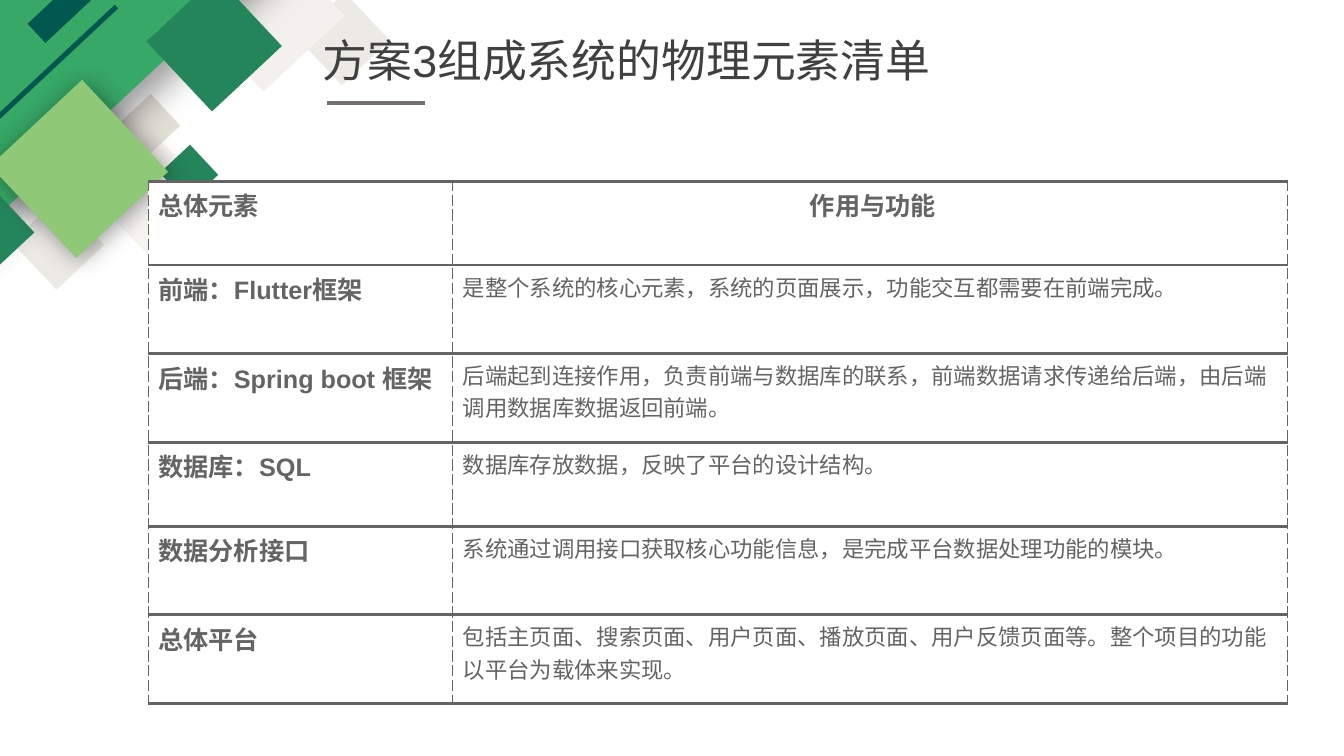
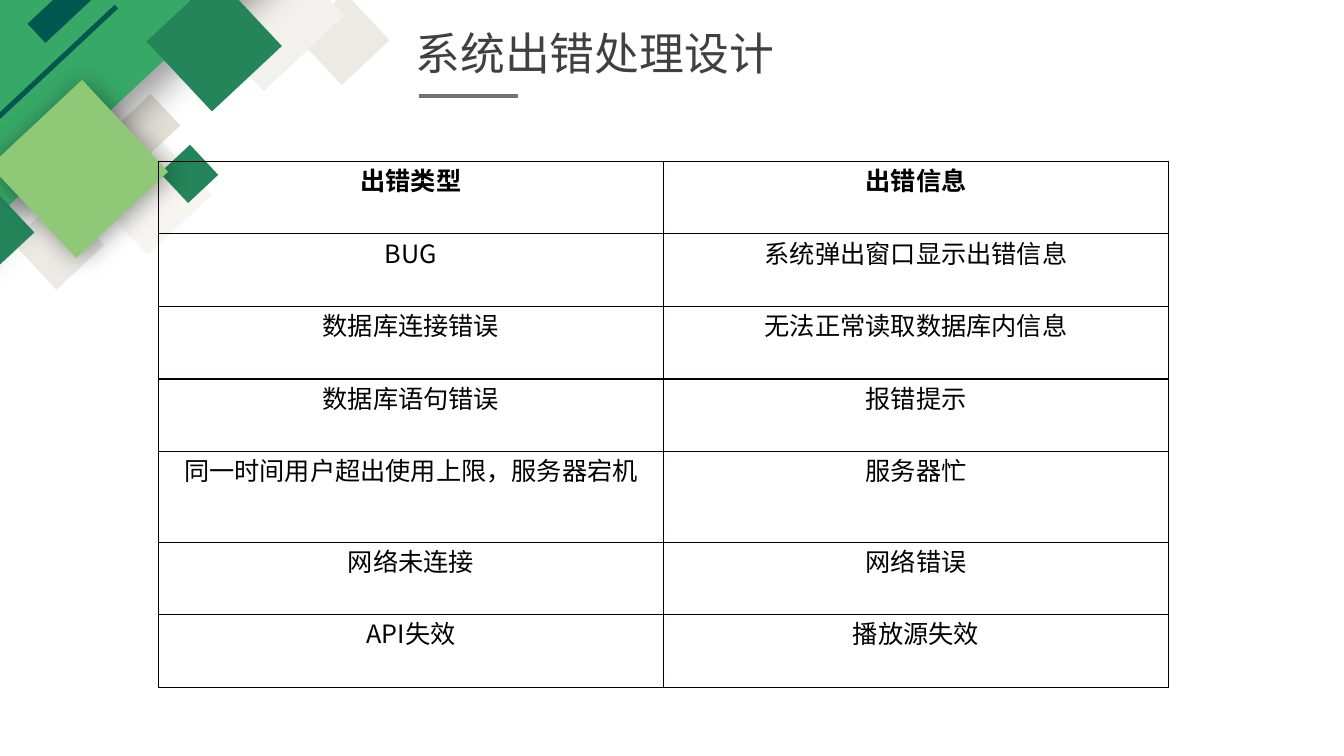
"""Build two slides of a system design deck: physical elements and error handling."""

from dataclasses import dataclass
from typing import NamedTuple

from lxml import etree
from pptx import Presentation
from pptx.dml.color import RGBColor
from pptx.enum.shapes import MSO_CONNECTOR, MSO_SHAPE
from pptx.enum.text import MSO_ANCHOR, MSO_AUTO_SIZE, PP_ALIGN
from pptx.oxml.ns import qn
from pptx.util import Emu, Pt

RECTANGLE = MSO_SHAPE.RECTANGLE
STRAIGHT = MSO_CONNECTOR.STRAIGHT
TOP = MSO_ANCHOR.TOP
LEFT, CENTER = PP_ALIGN.LEFT, PP_ALIGN.CENTER
NO_AUTOFIT = MSO_AUTO_SIZE.NONE

EMU_PER_PX = 9144
EMU_PER_PT = 12700
PAGE_WIDTH, PAGE_HEIGHT = 1333, 750
TITLE_ONLY = 5
TILT = 316.9
RULE_WIDTH = 98
RULE_INDENT = 14
RULE_DROP = 75


@dataclass(frozen=True)
class Theme:
    latin: str = "Arial"
    asian: str = "Noto Sans CJK SC"
    title_size: int = 32
    cell_size: int = 18
    detail_size: int = 16
    title: str = "404040"
    rule: str = "767171"
    slate: str = "646464"
    black: str = "000000"
    grid: str = "080000"
    white: str = "FFFFFF"
    sand: str = "E7E4DD"
    pale: str = "F2F1ED"
    stone: str = "D8D4C9"
    green: str = "37A866"
    forest: str = "24855A"
    lime: str = "8FC877"
    teal: str = "00574F"
    deep_teal: str = "00554E"


THEME = Theme()


class Shadow(NamedTuple):
    blur: int
    distance: int
    direction: int
    opacity: int = 40


class Tile(NamedTuple):
    left: int
    top: int
    width: int
    height: int
    color: str
    opacity: int = 100
    shadow: Shadow | None = None


class Border(NamedTuple):
    color: str
    width: float
    dash: str = "solid"


@dataclass(frozen=True)
class TableStyle:
    font: str
    color: str
    vertical: Border
    horizontal: Border
    fill: str | None = None
    margins: tuple[int, int] = (10, 5)
    lead_align: PP_ALIGN = CENTER
    detail_align: PP_ALIGN = CENTER
    lead_bold: bool = False
    detail_size: int = THEME.cell_size


@dataclass(frozen=True)
class TablePage:
    title: str
    title_box: tuple[int, int, int, int]
    table_corner: tuple[int, int]
    columns: tuple[int, ...]
    row_heights: tuple[int, ...]
    rows: tuple[tuple[str, str], ...]
    style: TableStyle


TILES = (
    Tile(308, 6, 65, 65, THEME.sand, 76),
    Tile(209, -42, 110, 110, THEME.pale),
    Tile(25, 209, 65, 65, THEME.sand, 76),
    Tile(105, 148, 87, 87, THEME.pale, 67),
    Tile(127, 102, 43, 43, THEME.stone, 73),
    Tile(-203, -136, 527, 246, THEME.green, shadow=Shadow(27, 16, 90)),
    Tile(-163, 114, 322, 5, THEME.teal),
    Tile(167, 152, 41, 41, THEME.forest),
    Tile(185, -49, 44, 44, THEME.deep_teal),
    Tile(165, -4, 95, 95, THEME.forest),
    Tile(-48, 195, 68, 68, THEME.forest),
    Tile(16, 105, 125, 125, THEME.lime, shadow=Shadow(18, 3, 45)),
    Tile(-8, -92, 328, 26, THEME.teal),
)

THIN_GRID = Border(THEME.grid, 1)

PAGES = (
    TablePage(
        title="方案3组成系统的物理元素清单",
        title_box=(310, 27, 791, 118),
        table_corner=(147, 180),
        columns=(302, 828),
        row_heights=(83, 88, 88, 83, 88, 88),
        rows=(
            ("总体元素", " 作用与功能"),
            ("前端：Flutter框架", "是整个系统的核心元素，系统的页面展示，功能交互都需要在前端完成。"),
            (
                "后端：Spring boot 框架",
                "后端起到连接作用，负责前端与数据库的联系，前端数据请求传递给后端，由后端调用数据库数据返回前端。",
            ),
            ("数据库：SQL", "数据库存放数据，反映了平台的设计结构。"),
            ("数据分析接口", "系统通过调用接口获取核心功能信息，是完成平台数据处理功能的模块。"),
            (
                "总体平台",
                "包括主页面、搜索页面、用户页面、播放页面、用户反馈页面等。整个项目的功能以平台为载体来实现。",
            ),
        ),
        style=TableStyle(
            font=THEME.latin,
            color=THEME.slate,
            vertical=Border(THEME.slate, 0.75, "sysDash"),
            horizontal=Border(THEME.slate, 2.25),
            fill=THEME.white,
            lead_align=LEFT,
            detail_align=LEFT,
            lead_bold=True,
            detail_size=THEME.detail_size,
        ),
    ),
    TablePage(
        title="系统出错处理设计",
        title_box=(402, 20, 407, 64),
        table_corner=(157, 160),
        columns=(501, 501),
        row_heights=(72, 72, 72, 72, 90, 72, 72),
        rows=(
            ("出错类型", "出错信息"),
            ("BUG", "系统弹出窗口显示出错信息"),
            ("数据库连接错误", "无法正常读取数据库内信息"),
            ("数据库语句错误", "报错提示"),
            ("同一时间用户超出使用上限，服务器宕机", "服务器忙"),
            ("网络未连接", "网络错误"),
            ("API失效", "播放源失效"),
        ),
        style=TableStyle(
            font=THEME.asian,
            color=THEME.black,
            vertical=THIN_GRID,
            horizontal=THIN_GRID,
            margins=(7, 0),
        ),
    ),
)


def px(length: int) -> Emu:
    """Turn whole pixels into EMU."""
    return Emu(length * EMU_PER_PX)


def write_text(frame, text: str, *, size: int, color: str, font: str,
               bold: bool = False, align: PP_ALIGN = LEFT) -> None:
    """Fill a text frame with one formatted paragraph."""
    para = frame.paragraphs[0]
    para.alignment = align
    span = para.add_run()
    span.text = text
    span.font.size = Pt(size)
    span.font.bold = bold
    span.font.name = font
    span.font.color.rgb = RGBColor.from_string(color)
    asian = etree.SubElement(span.font._element, qn("a:ea"))
    asian.set("typeface", THEME.asian)


def add_alpha(color_element, opacity: int) -> None:
    """Set the opacity of a colour element in percent."""
    etree.SubElement(color_element, qn("a:alpha")).set("val", str(opacity * 1000))


def add_shadow(shape, shadow: Shadow) -> None:
    """Give a shape an outer shadow."""
    effects = shape.element.spPr.find(qn("a:effectLst"))
    outer = etree.SubElement(effects, qn("a:outerShdw"))
    outer.set("blurRad", str(shadow.blur * EMU_PER_PT))
    outer.set("dist", str(shadow.distance * EMU_PER_PT))
    outer.set("dir", str(shadow.direction * 60000))
    outer.set("algn", "ctr")
    outer.set("rotWithShape", "0")
    color = etree.SubElement(outer, qn("a:srgbClr"))
    color.set("val", THEME.black)
    add_alpha(color, shadow.opacity)


def draw_tile(page, tile: Tile):
    """Draw one tilted tile and return its shape."""
    box = page.shapes.add_shape(RECTANGLE, px(tile.left), px(tile.top), px(tile.width), px(tile.height))
    box.rotation = TILT
    box.fill.solid()
    box.fill.fore_color.rgb = RGBColor.from_string(tile.color)
    box.line.fill.background()
    box.shadow.inherit = False
    if tile.opacity < 100:
        add_alpha(box.element.spPr.find(".//" + qn("a:srgbClr")), tile.opacity)
    if tile.shadow:
        add_shadow(box, tile.shadow)
    return box


def decorate_layout(layout, page) -> None:
    """Put the corner tiles on the layout that all pages share."""
    for tile in TILES:
        layout.shapes.element.append(draw_tile(page, tile).element)


def draw_title(page, text: str, box: tuple[int, int, int, int]) -> None:
    """Place the title and the short rule under it."""
    title = page.shapes.title
    title.left, title.top, title.width, title.height = map(px, box)
    frame = title.text_frame
    frame.word_wrap = True
    frame.auto_size = NO_AUTOFIT
    frame.vertical_anchor = TOP
    write_text(frame, text, size=THEME.title_size, color=THEME.title, font=THEME.latin)
    left, level = box[0] + RULE_INDENT, box[1] + RULE_DROP
    rule = page.shapes.add_connector(STRAIGHT, px(left), px(level), px(left + RULE_WIDTH), px(level))
    rule.line.color.rgb = RGBColor.from_string(THEME.rule)
    rule.line.width = Pt(3)
    etree.SubElement(rule.element.spPr, qn("a:effectLst"))


def set_borders(cell, style: TableStyle) -> None:
    """Draw the four borders of a cell."""
    properties = cell._tc.get_or_add_tcPr()
    sides = (("L", style.vertical), ("R", style.vertical), ("T", style.horizontal), ("B", style.horizontal))
    for position, (side, border) in enumerate(sides):
        line = etree.Element(qn(f"a:ln{side}"), w=str(int(border.width * EMU_PER_PT)))
        fill = etree.SubElement(line, qn("a:solidFill"))
        etree.SubElement(fill, qn("a:srgbClr")).set("val", border.color)
        etree.SubElement(line, qn("a:prstDash")).set("val", border.dash)
        properties.insert(position, line)


def format_cell(cell, style: TableStyle) -> None:
    """Set the margins, fill and borders of a cell."""
    side, edge = map(px, style.margins)
    cell.margin_left = cell.margin_right = side
    cell.margin_top = cell.margin_bottom = edge
    cell.vertical_anchor = TOP
    if style.fill:
        cell.fill.solid()
        cell.fill.fore_color.rgb = RGBColor.from_string(style.fill)
    else:
        cell.fill.background()
    set_borders(cell, style)


def draw_table(page, content: TablePage) -> None:
    """Draw the table of a page."""
    style = content.style
    left, top = map(px, content.table_corner)
    width, height = px(sum(content.columns)), px(sum(content.row_heights))
    table = page.shapes.add_table(len(content.rows), len(content.columns), left, top, width, height).table
    table.first_row = table.horz_banding = False
    for column, column_width in zip(table.columns, content.columns):
        column.width = px(column_width)
    for row_index, texts in enumerate(content.rows):
        table.rows[row_index].height = px(content.row_heights[row_index])
        for column_index, text in enumerate(texts):
            cell = table.cell(row_index, column_index)
            format_cell(cell, style)
            header, lead = row_index == 0, column_index == 0
            body_align = style.lead_align if lead else style.detail_align
            write_text(
                cell.text_frame, text, font=style.font, color=style.color,
                size=THEME.cell_size if header or lead else style.detail_size,
                bold=header or (lead and style.lead_bold),
                align=CENTER if header and not lead else body_align,
            )


def main() -> None:
    """Build and save the deck."""
    deck = Presentation()
    deck.slide_width, deck.slide_height = px(PAGE_WIDTH), px(PAGE_HEIGHT)
    layout = deck.slide_layouts[TITLE_ONLY]
    for index, content in enumerate(PAGES):
        page = deck.slides.add_slide(layout)
        if index == 0:
            decorate_layout(layout, page)
        draw_title(page, content.title, content.title_box)
        draw_table(page, content)
    deck.save("out.pptx")


if __name__ == "__main__":
    main()
